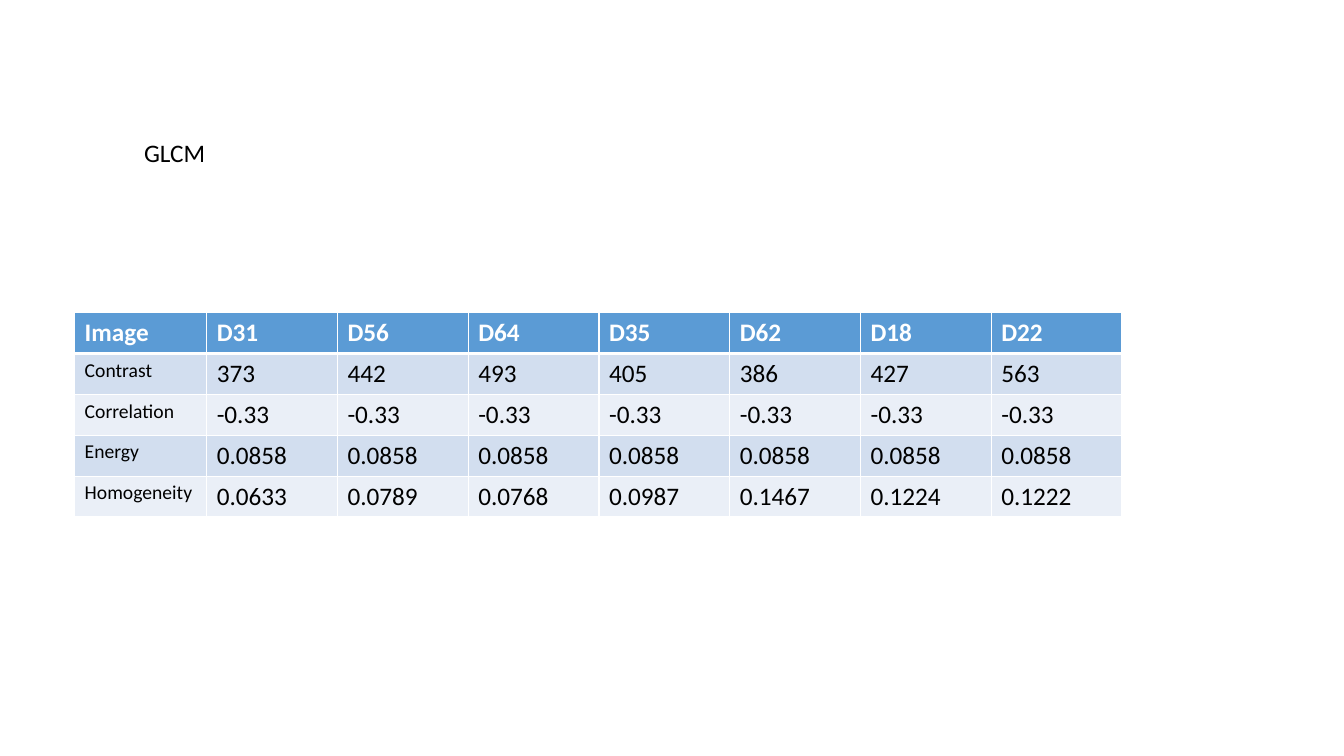
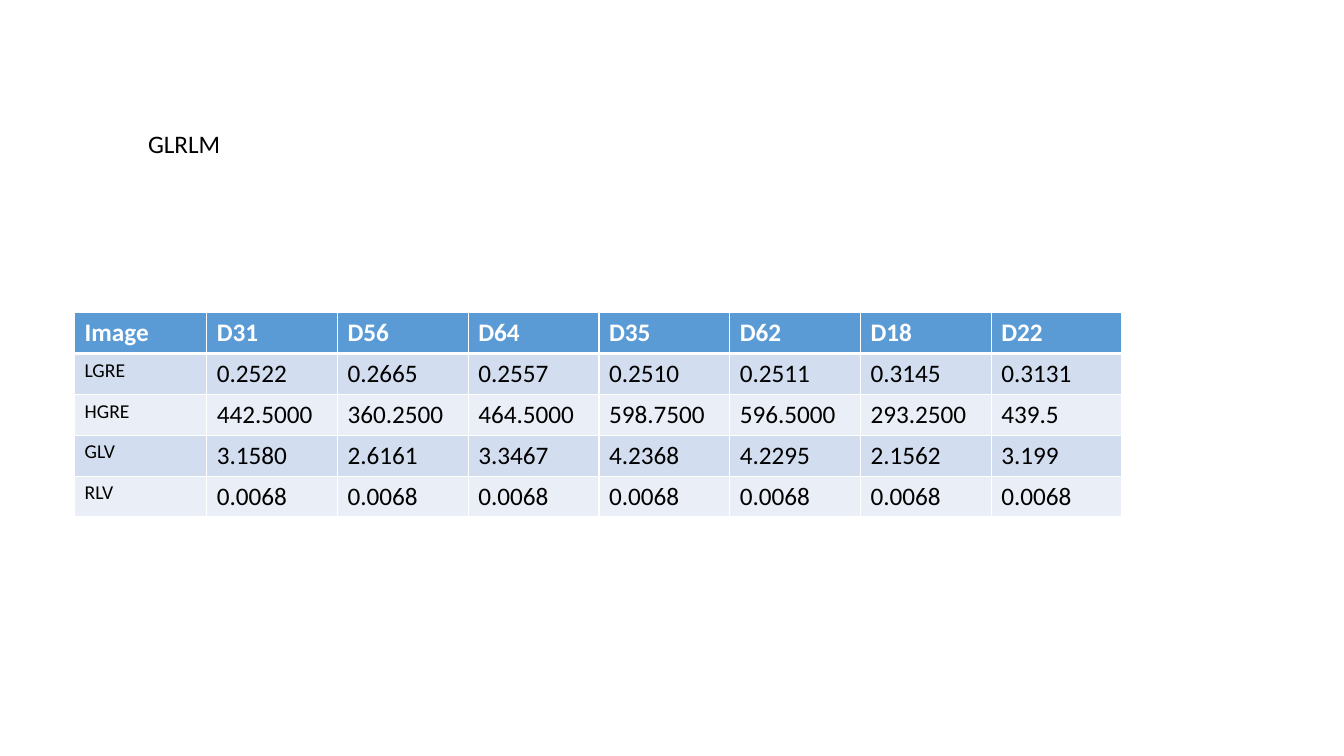
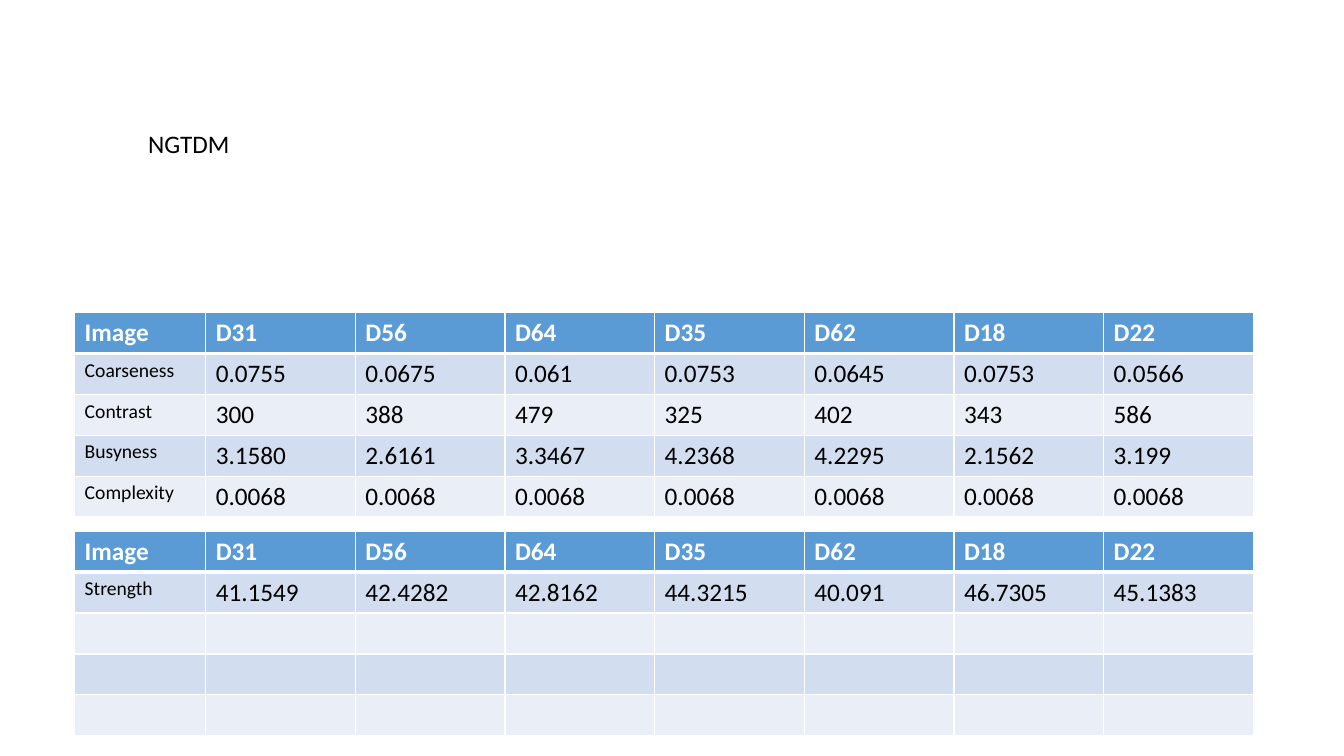
from lxml import etree
from pptx import Presentation
from pptx.dml.color import RGBColor
from pptx.enum.text import MSO_AUTO_SIZE
from pptx.oxml.ns import qn
from pptx.util import Pt

# Shared look, with 100 px to the inch
PX = 9144
FONT = "Calibri"
WHITE = RGBColor(0xFF, 0xFF, 0xFF)
BLACK = RGBColor(0x00, 0x00, 0x00)
HEADER_BLUE = RGBColor(0x5B, 0x9B, 0xD5)
BANDS = [RGBColor(0xEA, 0xEF, 0xF7), RGBColor(0xD2, 0xDE, 0xEF)]
FIT_SHAPE = MSO_AUTO_SIZE.SHAPE_TO_FIT_TEXT

HEADER_TEXT = {"name": FONT, "size": Pt(18), "bold": True}
LABEL_TEXT = {"name": FONT, "size": Pt(14), "bold": False}
BODY_TEXT = {"name": FONT, "size": Pt(18), "bold": False}

# Shared table layout
TABLE_LEFT, TABLE_HEIGHT, ROWS = 74, 203, 5
HEADER = ["Image", "D31", "D56", "D64", "D35", "D62", "D18", "D22"]

GRAY_LEVEL_VARIANCE = "3.1580 2.6161 3.3467 4.2368 4.2295 2.1562 3.199"
REPEATED_LOW = " ".join(["0.0068"] * 7)

# Title, title box (left, top, width), table width, first column, tables (top, rows)
SLIDES = [
    ("GLCM", (133, 131, 475), 1039, 131, [
        (310, [
            ("Contrast", "373 442 493 405 386 427 563"),
            ("Correlation", " ".join(["-0.33"] * 7)),
            ("Energy", " ".join(["0.0858"] * 7)),
            ("Homogeneity", "0.0633 0.0789 0.0768 0.0987 0.1467 0.1224 0.1222"),
        ]),
    ]),
    ("GLRLM", (137, 122, 470), 1039, 131, [
        (310, [
            ("LGRE", "0.2522 0.2665 0.2557 0.2510 0.2511 0.3145 0.3131"),
            ("HGRE", "442.5000 360.2500 464.5000 598.7500 596.5000 293.2500 439.5"),
            ("GLV", GRAY_LEVEL_VARIANCE),
            ("RLV", REPEATED_LOW),
        ]),
    ]),
    ("NGTDM", (137, 122, 470), 1169, 130, [
        (310, [
            ("Coarseness", "0.0755 0.0675 0.061 0.0753 0.0645 0.0753 0.0566"),
            ("Contrast", "300 388 479 325 402 343 586"),
            ("Busyness", GRAY_LEVEL_VARIANCE),
            ("Complexity", REPEATED_LOW),
        ]),
        (527, [
            ("Strength", "41.1549 42.4282 42.8162 44.3215 40.091 46.7305 45.1383"),
        ]),
    ]),
]


def write(p, text, style, color):
    r = p.add_run()
    r.text = text
    for name, value in style.items():
        setattr(r.font, name, value)
    r.font.color.rgb = color


def add_borders(cell, row):
    # The rule under the header row is thicker than the others
    widths = {"lnL": 1, "lnR": 1, "lnT": 3 if row == 1 else 1, "lnB": 3 if row == 0 else 1}
    tc_pr = cell._tc.get_or_add_tcPr()
    for side, width in widths.items():
        ln = etree.SubElement(tc_pr, qn("a:" + side), w=str(Pt(width)))
        fill = etree.SubElement(ln, qn("a:solidFill"))
        etree.SubElement(fill, qn("a:srgbClr"), val=str(WHITE))


prs = Presentation()
prs.slide_width, prs.slide_height = 1333 * PX, 750 * PX

for title, (left, top, width), table_width, first_width, tables in SLIDES:
    s = prs.slides.add_slide(prs.slide_layouts[6])

    # Tables
    for table_top, data in tables:
        table = s.shapes.add_table(ROWS, len(HEADER), TABLE_LEFT * PX, table_top * PX,
                                   table_width * PX, TABLE_HEIGHT * PX).table
        for i, column in enumerate(table.columns):
            rest = (table_width - first_width) * PX // (len(HEADER) - 1)
            column.width = rest if i else first_width * PX

        lines = [HEADER] + [[label] + values.split() for label, values in data]
        for row in range(ROWS):
            for col in range(len(HEADER)):
                cell = table.cell(row, col)
                add_borders(cell, row)
                cell.fill.solid()
                cell.fill.fore_color.rgb = BANDS[row % 2] if row else HEADER_BLUE
                if row < len(lines):
                    style = HEADER_TEXT if row == 0 else BODY_TEXT if col else LABEL_TEXT
                    write(cell.text_frame.paragraphs[0], lines[row][col], style,
                          BLACK if row else WHITE)

    # Title
    tf = s.shapes.add_textbox(left * PX, top * PX, width * PX, 40 * PX).text_frame
    tf.word_wrap = True
    tf.auto_size = FIT_SHAPE
    write(tf.paragraphs[0], title, BODY_TEXT, BLACK)

prs.save("out.pptx")
